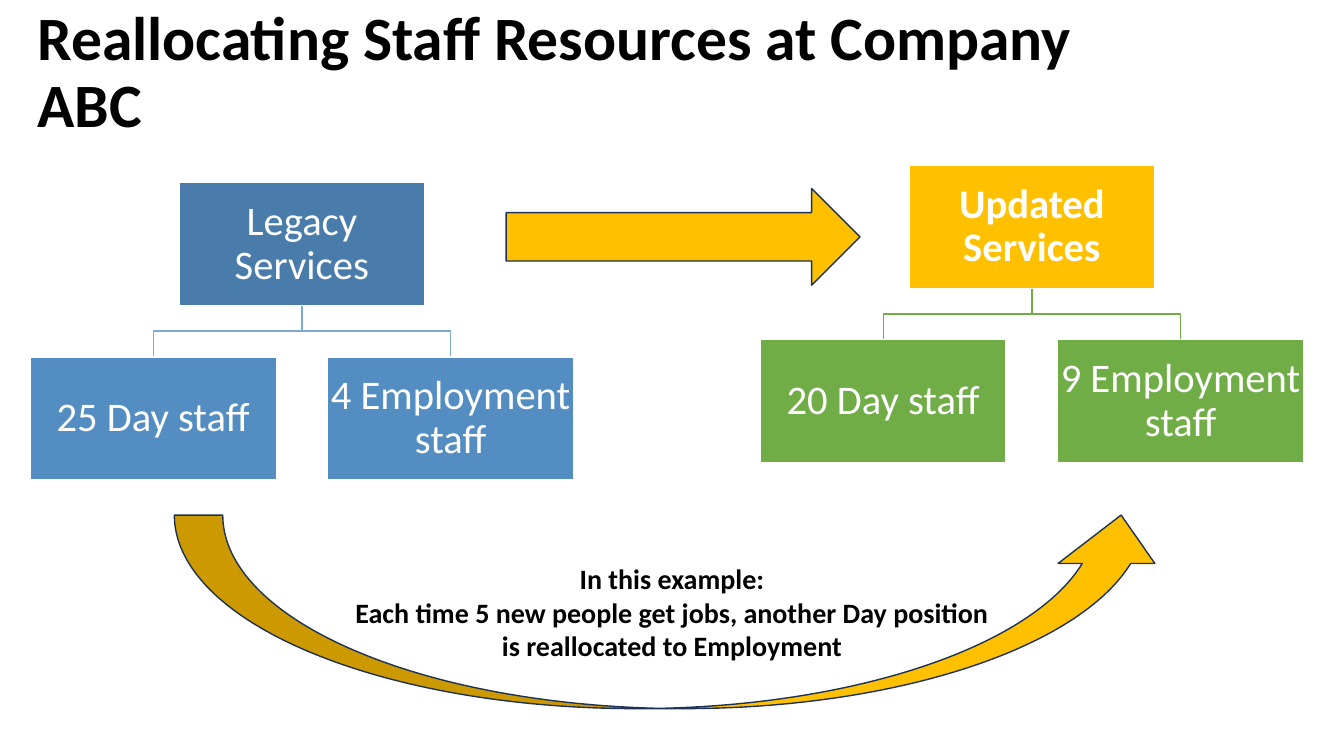
from dataclasses import dataclass

from pptx import Presentation
from pptx.dml.color import RGBColor
from pptx.enum.shapes import MSO_SHAPE as Shape
from pptx.enum.text import MSO_ANCHOR as Anchor, MSO_AUTO_SIZE as AutoSize, PP_ALIGN as Align
from pptx.util import Inches, Pt


@dataclass(frozen=True)
class Theme:
    font: str = "Calibri"
    title_size: int = 44
    box_size: int = 29
    note_size: int = 20
    line_width: int = 1
    black: str = "000000"
    white: str = "FFFFFF"
    gold: str = "FFC000"
    navy: str = "1E3256"
    dark_blue: str = "497CAB"
    blue: str = "538DC1"
    light_blue: str = "7AA9DA"
    green: str = "70AD47"


THEME = Theme()
BOX_WIDTH, BOX_HEIGHT = 2.44, 1.22
CHILD_PITCH = 2.95
LEVEL_GAP = 0.51
NOTE = ("In this example:\n"
        "Each time 5 new people get jobs, another Day position\n"
        "is reallocated to Employment")


def rgb(colour):
    return RGBColor.from_string(colour)


def set_text(shape, text, size, colour, bold=False, align=Align.CENTER, spacing=1.0):
    frame = shape.text_frame
    frame.text = text
    frame.word_wrap = True
    frame.auto_size = AutoSize.NONE
    frame.vertical_anchor = Anchor.MIDDLE
    for para in frame.paragraphs:
        para.alignment = align
        para.line_spacing = spacing
        for span in para.runs:
            span.font.name = THEME.font
            span.font.size = Pt(size)
            span.font.bold = bold
            span.font.color.rgb = rgb(colour)


def set_line(shape, colour):
    shape.shadow.inherit = False
    shape.line.color.rgb = rgb(colour)
    shape.line.width = Pt(THEME.line_width)


def add_filled(shapes, kind, left, top, width, height, fill, line):
    shape = shapes.add_shape(kind, Inches(left), Inches(top), Inches(width), Inches(height))
    shape.fill.solid()
    shape.fill.fore_color.rgb = rgb(fill)
    set_line(shape, line)
    return shape


def add_box(shapes, text, left, top, fill, bold=False):
    box = add_filled(shapes, Shape.RECTANGLE, left, top, BOX_WIDTH, BOX_HEIGHT,
                     fill, THEME.white)
    set_text(box, text, THEME.box_size, THEME.white, bold, spacing=0.9)
    frame = box.text_frame
    frame.margin_left = frame.margin_right = Inches(0.02)
    frame.margin_top = frame.margin_bottom = Inches(0.02)


def add_branch(shapes, start_x, start_y, end_x, colour):
    """Draw an angled line from a parent box down to a child box."""
    middle_y, end_y = start_y + LEVEL_GAP / 2, start_y + LEVEL_GAP
    corners = [(start_x, middle_y), (end_x, middle_y), (end_x, end_y)]
    builder = shapes.build_freeform(Inches(start_x), Inches(start_y))
    builder.add_line_segments([(Inches(x), Inches(y)) for x, y in corners], close=False)
    branch = builder.convert_to_shape()
    branch.fill.background()
    set_line(branch, colour)


def add_staff_tree(page, left, top, parent, children, parent_fill, child_fill,
                   line, parent_bold=False):
    shapes = page.shapes.add_group_shape().shapes
    parent_left = left + CHILD_PITCH / 2
    parent_bottom = top + BOX_HEIGHT
    child_lefts = [left + CHILD_PITCH * index for index in range(len(children))]
    for child_left in child_lefts:
        add_branch(shapes, parent_left + BOX_WIDTH / 2, parent_bottom,
                   child_left + BOX_WIDTH / 2, line)
    add_box(shapes, parent, parent_left, top, parent_fill, parent_bold)
    for child, child_left in zip(children, child_lefts):
        add_box(shapes, child, child_left, parent_bottom + LEVEL_GAP, child_fill)


def add_title(page, text):
    title = page.shapes.title
    title.left, title.top = Inches(0.27), Inches(0.01)
    title.width, title.height = Inches(11.5), Inches(1.45)
    set_text(title, text, THEME.title_size, THEME.black, True, Align.LEFT, 0.9)


def main():
    deck = Presentation()
    deck.slide_width, deck.slide_height = Inches(13.33), Inches(7.5)
    page = deck.slides.add_slide(deck.slide_layouts.get_by_name("Title Only"))
    add_title(page, "Reallocating Staff Resources at Company ABC")
    add_staff_tree(page, 0.3, 1.81, "Legacy Services",
                   ["25 Day staff", "4 Employment staff"],
                   THEME.dark_blue, THEME.blue, THEME.light_blue)
    add_filled(page.shapes, Shape.RIGHT_ARROW, 5.02, 1.87, 3.51, 0.96,
               THEME.gold, THEME.navy)
    add_staff_tree(page, 7.54, 1.64, "Updated Services",
                   ["20 Day staff", "9 Employment staff"],
                   THEME.gold, THEME.green, THEME.green, parent_bold=True)
    transfer = add_filled(page.shapes, Shape.CURVED_UP_ARROW, 1.73, 5.11, 9.87, 1.92,
                          THEME.gold, THEME.navy)
    set_text(transfer, NOTE, THEME.note_size, THEME.black, bold=True)
    deck.save("out.pptx")


if __name__ == "__main__":
    main()
